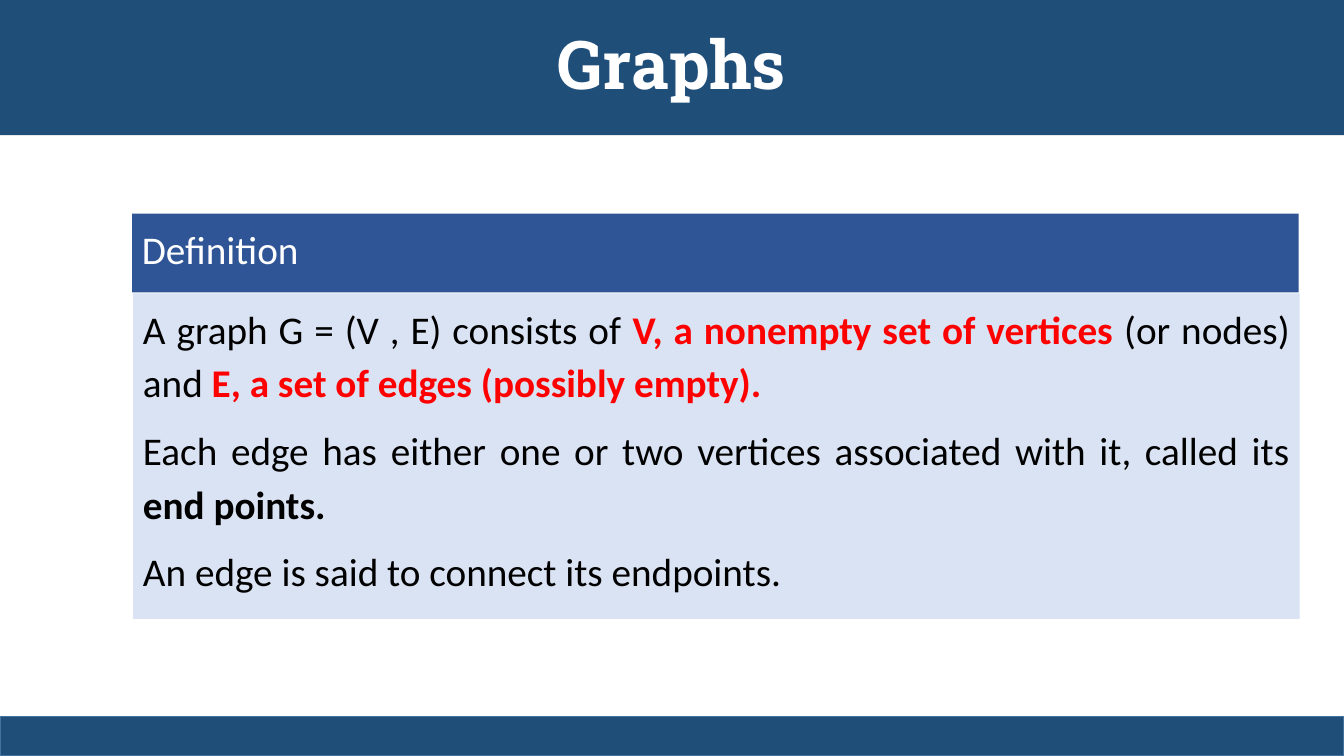
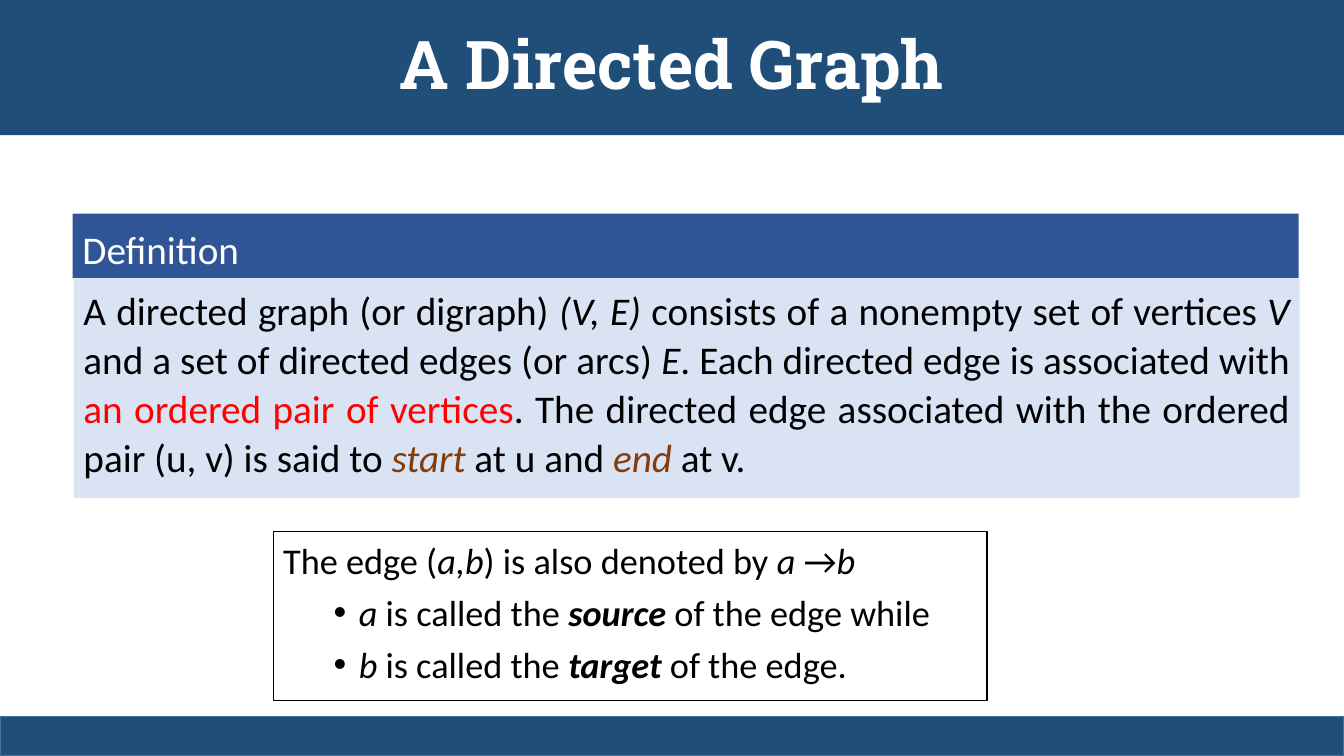
from lxml.etree import SubElement
from pptx import Presentation
from pptx.dml.color import RGBColor
from pptx.enum.shapes import MSO_SHAPE
from pptx.enum.text import MSO_ANCHOR, PP_ALIGN
from pptx.oxml.ns import qn
from pptx.util import Inches, Pt

WIDE, HIGH = 13.33, 7.5
INK = {
    "band": "1F4E79", "edge": "43739E", "head": "2F5597", "pale": "DAE3F3",
    "white": "FFFFFF", "black": "000000", "red": "FF0000", "brown": "843C0B",
}


def tone(name):
    """Return the named colour."""
    return RGBColor.from_string(INK[name])


def add_box(slide, box, fill, line=None):
    """Draw a filled rectangle, ready for text, and return it."""
    shape = slide.shapes.add_shape(MSO_SHAPE.RECTANGLE, *map(Inches, box))
    shape.shadow.inherit = False
    shape.fill.solid()
    shape.fill.fore_color.rgb = tone(fill)
    if line:
        shape.line.color.rgb = tone(line)
        shape.line.width = Pt(1)
    else:
        shape.line.fill.background()
    shape.text_frame.word_wrap = True
    shape.text_frame.vertical_anchor = MSO_ANCHOR.TOP
    return shape


def add_dot(para):
    """Indent a paragraph and give it a round bullet."""
    para.level = 1
    props = para._p.get_or_add_pPr()
    props.set("marL", str(Inches(0.75)))
    props.set("indent", str(Inches(-0.25)))
    SubElement(props, qn("a:buFont")).set("typeface", "Arial")
    SubElement(props, qn("a:buChar")).set("char", "•")


def write(shape, paras, size=28, face="Calibri", ink="black", bold=False,
          align=PP_ALIGN.LEFT, lead=1.14, gap=10, dots=False):
    """Fill a shape with paragraphs made of (text, marks) runs."""
    frame = shape.text_frame
    for num, runs in enumerate(paras):
        para = frame.add_paragraph() if num else frame.paragraphs[0]
        para.alignment, para.line_spacing = align, lead
        if num:
            para.space_before = Pt(gap)
            if dots:
                add_dot(para)
        font = para.font
        font.name, font.size, font.bold = face, Pt(size), bold
        font.color.rgb = tone(ink)
        for text, marks in runs:
            run = para.add_run()
            run.text = text
            for mark in marks.split():
                if mark in INK:
                    run.font.color.rgb = tone(mark)
                else:
                    setattr(run.font, mark, True)


def add_page(deck, title):
    """Add a slide with its title band and foot band."""
    slide = deck.slides.add_slide(deck.slide_layouts[6])
    band = add_box(slide, (0, 0, WIDE, 1.34), "band")
    band.text_frame.vertical_anchor = MSO_ANCHOR.MIDDLE
    write(band, [[(title, "")]], 48, "Roboto Slab", "white", True,
          PP_ALIGN.CENTER, 0.9)
    add_box(slide, (0, 7.11, WIDE, HIGH - 7.11), "band", "edge")
    return slide


def add_card(slide, box, top, paras, lead):
    """Place a definition card whose heading is top inches high."""
    left, up, wide, high = box
    head = add_box(slide, (left, up, wide, top), "head")
    write(head, [[("Definition", "")]], ink="white")
    body = add_box(slide, (left + 0.01, up + top + 0.01, wide,
                           high - top - 0.01), "pale")
    write(body, paras, align=PP_ALIGN.JUSTIFY, lead=lead)


def add_note(slide, box, paras):
    """Place an outlined note with a lead line and bullets."""
    note = add_box(slide, box, "white", "black")
    write(note, paras, 25.9, lead=1.04, gap=5, dots=True)


def graphs(deck):
    """Build the slide that defines a graph."""
    slide = add_page(deck, "Graphs")
    add_card(slide, (1.31, 2.12, 11.57, 4.02), 0.78, [
        [("A graph G = (V , E) consists of ", ""),
         ("V, a nonempty set of vertices ", "red bold"),
         ("(or nodes) and ", ""),
         ("E, a set of edges (possibly empty).", "red bold")],
        [("Each edge has either one or two vertices associated with it, "
          "called its ", ""), ("end points.", "bold")],
        [("An edge is said to connect its endpoints.", "")],
    ], 1.14)


def directed(deck):
    """Build the slide that defines a directed graph."""
    slide = add_page(deck, "A Directed Graph")
    add_card(slide, (0.72, 2.12, 12.16, 2.82), 0.64, [
        [("A directed graph (or digraph) ", ""), ("(V, E) ", "italic"),
         ("consists of a nonempty set of vertices ", ""), ("V", "italic"),
         (" and a set of directed edges (or arcs) ", ""), ("E", "italic"),
         (". Each directed edge is associated with ", ""),
         ("an ordered pair of vertices", "red"),
         (". The directed edge associated with the ordered pair (u, v) "
          "is said to ", ""),
         ("start", "brown italic"), (" at u and ", ""),
         ("end", "brown italic"), (" at v.", "")],
    ], 1.04)
    add_note(slide, (2.71, 5.27, 7.08, 1.68), [
        [("The edge (", ""), ("a,b", "italic"),
         (") is also denoted by ", ""), ("a ", "italic"), ("→", ""),
         ("b", "italic")],
        [("a ", "italic"), ("is called the ", ""),
         ("source ", "bold italic"), ("of the edge while", "")],
        [("b", "italic"), (" is called the ", ""),
         ("target ", "bold italic"), ("of the edge.", "")],
    ])


def main():
    """Build and save the deck."""
    deck = Presentation()
    deck.slide_width, deck.slide_height = Inches(WIDE), Inches(HIGH)
    graphs(deck)
    directed(deck)
    deck.save("out.pptx")


if __name__ == "__main__":
    main()
